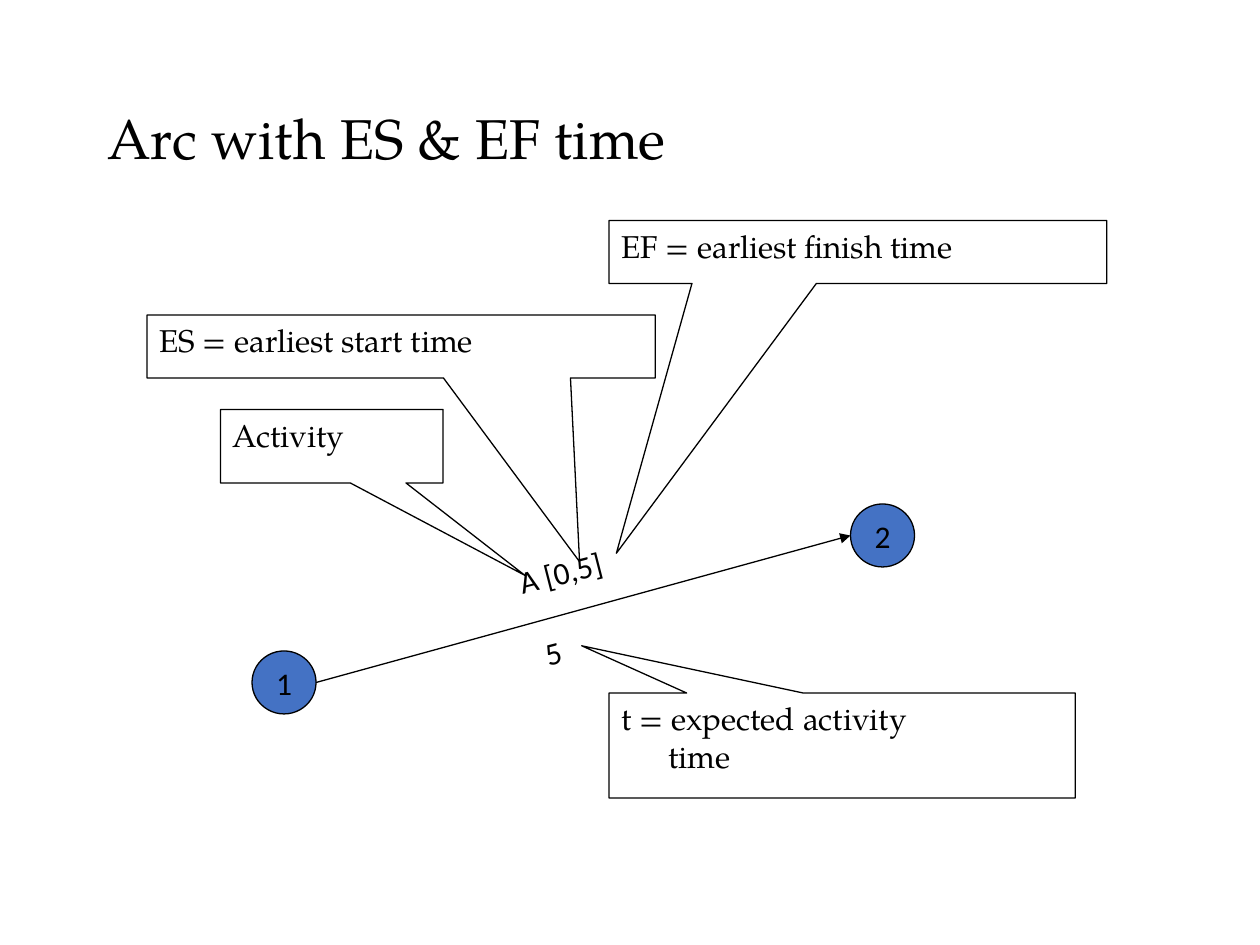
from dataclasses import dataclass

from lxml.etree import SubElement
from pptx import Presentation
from pptx.dml.color import RGBColor
from pptx.enum.shapes import MSO_CONNECTOR, MSO_SHAPE
from pptx.enum.text import MSO_ANCHOR, MSO_AUTO_SIZE, PP_ALIGN
from pptx.oxml.ns import qn
from pptx.util import Inches, Pt


@dataclass(frozen=True)
class Theme:
    """Colours, fonts and sizes of the slide."""
    ink: RGBColor = RGBColor(0, 0, 0)
    paper: RGBColor = RGBColor(255, 255, 255)
    node: RGBColor = RGBColor(0x44, 0x72, 0xC4)
    serif: str = "TeX Gyre Pagella"
    sans: str = "Calibri"
    title: Pt = Pt(32)
    body: Pt = Pt(18)
    outline: Pt = Pt(0.75)


THEME = Theme()
COLUMNS, ROWS = 120, 90


@dataclass(frozen=True)
class Grid:
    """A region divided into equal columns and rows."""
    left: int
    top: int
    width: int
    height: int

    def point(self, column, row):
        """Return the slide position of a grid point."""
        return (self.left + round(self.width * column / COLUMNS),
                self.top + round(self.height * row / ROWS))

    def box(self, column, row, columns, rows):
        """Return left, top, width and height of a block of cells."""
        return (*self.point(column, row),
                round(self.width * columns / COLUMNS),
                round(self.height * rows / ROWS))


def assign(target, values):
    """Set each attribute named in a dict."""
    for name, value in values.items():
        setattr(target, name, value)


def write(shape, lines, font, size=THEME.body, align=PP_ALIGN.LEFT, **frame):
    """Fill a shape with (text, left indent, space before) lines."""
    text = shape.text_frame
    assign(text, {"word_wrap": True, "vertical_anchor": MSO_ANCHOR.TOP, **frame})
    for index, (content, indent, gap) in enumerate(lines):
        paragraph = text.add_paragraph() if index else text.paragraphs[0]
        assign(paragraph, {"alignment": align, "space_before": gap})
        if indent:
            paragraph._p.get_or_add_pPr().set("marL", str(indent))
        run = paragraph.add_run()
        run.text = content
        assign(run.font, {"name": font, "size": size})
        run.font.color.rgb = THEME.ink


def paint(shape, fill):
    """Give a shape a plain fill and a thin outline."""
    shape.shadow.inherit = False
    shape.fill.solid()
    shape.fill.fore_color.rgb = fill
    shape.line.color.rgb = THEME.ink
    shape.line.width = THEME.outline


def add_heading(slide, box, heading):
    """Place the title placeholder in its box."""
    title = slide.shapes.title
    assign(title, dict(zip(("left", "top", "width", "height"), box)))
    write(title, [(heading, 0, Pt(0))], THEME.serif, THEME.title,
          vertical_anchor=MSO_ANCHOR.MIDDLE, auto_size=MSO_AUTO_SIZE.NONE)
    title.text_frame.paragraphs[0].line_spacing = 0.9


def add_event(slide, box, number):
    """Draw a numbered event circle."""
    event = slide.shapes.add_shape(MSO_SHAPE.FLOWCHART_CONNECTOR, *box)
    paint(event, THEME.node)
    write(event, [(number, 0, Pt(0))], THEME.sans, align=PP_ALIGN.CENTER,
          vertical_anchor=MSO_ANCHOR.MIDDLE, word_wrap=False)
    return event


def add_arc(slide, start, finish):
    """Draw the arrow from the right of one event to the left of the next."""
    arc = slide.shapes.add_connector(
        MSO_CONNECTOR.STRAIGHT,
        start.left + start.width, start.top + start.height // 2,
        finish.left, finish.top + finish.height // 2)
    arc.line.color.rgb = THEME.ink
    arc.line.width = THEME.outline
    SubElement(arc.line._get_or_add_ln(), qn("a:tailEnd"), type="triangle")
    SubElement(arc._element.spPr, qn("a:effectLst"))


def add_arc_label(slide, box, activity, duration):
    """Write the tilted activity above the arc and its duration below."""
    label = slide.shapes.add_textbox(*box)
    label.rotation = 345.5
    write(label, [(activity, 0, Pt(0)), (duration, Pt(4), Pt(22))], THEME.sans)


def add_callout(slide, box, tip, lines):
    """Draw a callout whose pointer ends at the tip."""
    left, top, width, height = box
    callout = slide.shapes.add_shape(MSO_SHAPE.RECTANGULAR_CALLOUT, *box)
    callout.adjustments[0] = (tip[0] - left) / width - 0.5
    callout.adjustments[1] = (tip[1] - top) / height - 0.5
    paint(callout, THEME.paper)
    write(callout, lines, THEME.serif)


def add_network(slide, grid):
    """Build the arc between two events with its explanations."""
    start = add_event(slide, grid.box(24, 62, 6.1, 6), "1")
    finish = add_event(slide, grid.box(81, 48, 6.1, 6), "2")
    add_arc(slide, start, finish)
    add_arc_label(slide, grid.box(49, 51.5, 14.2, 12), "A [0,5]", "5")
    callouts = [
        ((39 - 18, 39, 21.2, 7), (50, 54.8), ["Activity"]),
        ((14, 30, 48.4, 6), (55.2, 53.5), ["ES = earliest start time"]),
        ((58, 21, 47.4, 6), (58.7, 52.7), ["EF = earliest finish time"]),
        ((58, 66, 44.4, 10), (55.4, 61.5), ["t = expected activity", "time"]),
    ]
    for cells, tip, texts in callouts:
        lines = [(text, Pt(27) * index, Pt(0)) for index, text in enumerate(texts)]
        add_callout(slide, grid.box(*cells), grid.point(*tip), lines)


def main():
    """Build and save the presentation."""
    deck = Presentation()
    assign(deck, {"slide_width": Inches(10), "slide_height": Inches(7.5)})
    slide = deck.slides.add_slide(deck.slide_layouts[5])
    grid = Grid(0, 0, deck.slide_width, deck.slide_height)
    add_heading(slide, grid.box(9, 9, 103, 9), "Arc with ES & EF time")
    add_network(slide, grid)
    deck.save("out.pptx")


if __name__ == "__main__":
    main()
